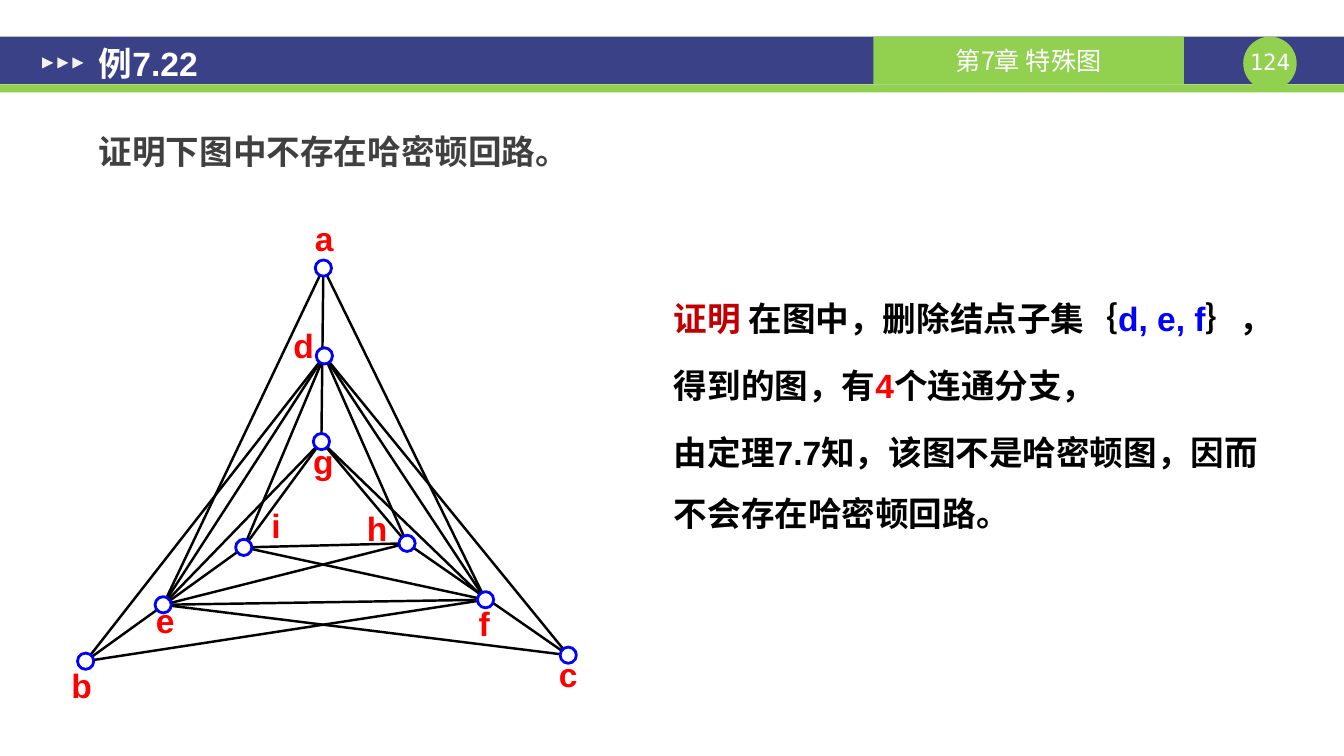
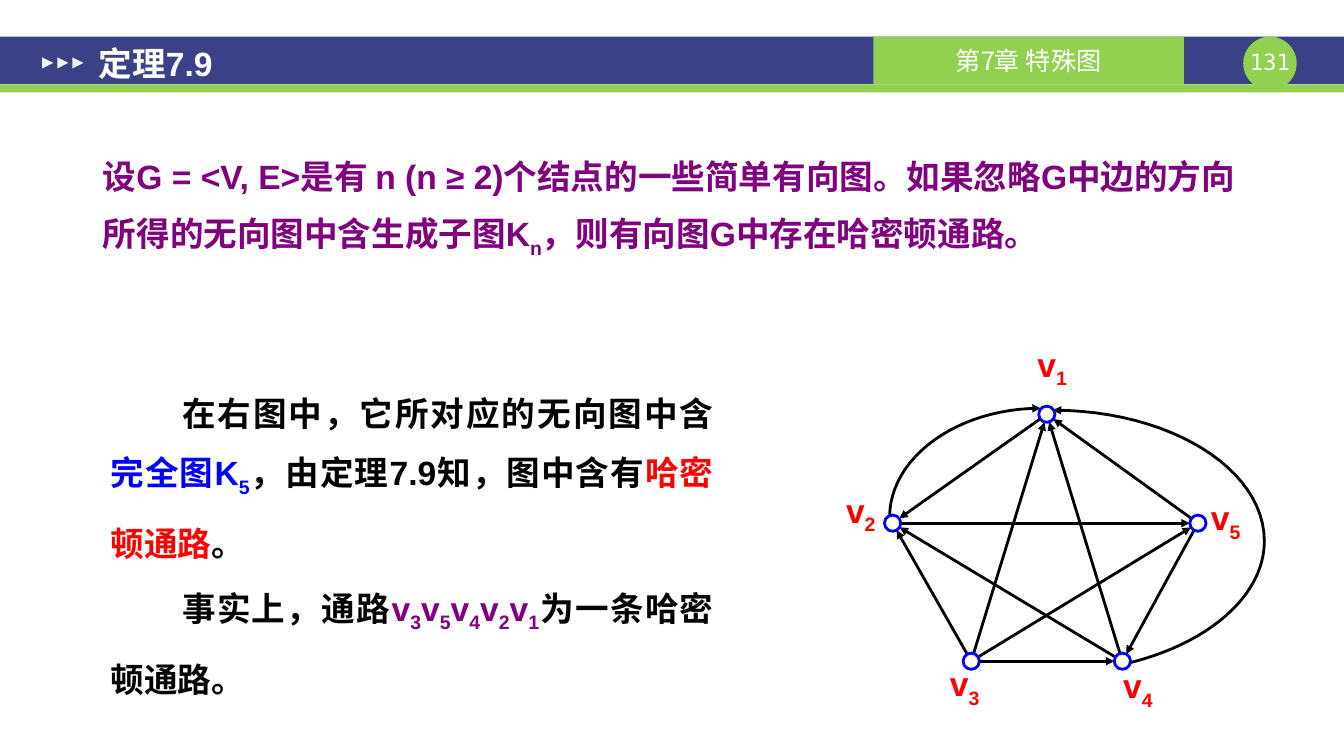
"""Build two lecture slides on Hamiltonian graphs."""
from math import hypot
from typing import NamedTuple

from lxml import etree
from pptx import Presentation
from pptx.dml.color import RGBColor
from pptx.enum.shapes import MSO_CONNECTOR, MSO_SHAPE
from pptx.enum.text import MSO_ANCHOR, MSO_AUTO_SIZE, PP_ALIGN
from pptx.oxml.ns import qn
from pptx.util import Pt

RECT, OVAL, TRIANGLE = MSO_SHAPE.RECTANGLE, MSO_SHAPE.OVAL, MSO_SHAPE.ISOSCELES_TRIANGLE
STRAIGHT = MSO_CONNECTOR.STRAIGHT
LEFT, CENTER, JUSTIFY = PP_ALIGN.LEFT, PP_ALIGN.CENTER, PP_ALIGN.JUSTIFY
TOP, MIDDLE = MSO_ANCHOR.TOP, MSO_ANCHOR.MIDDLE
NO_FIT = MSO_AUTO_SIZE.NONE

NAVY, GREEN, PALE, GREY = "3A4187", "92D050", "F2F2F2", "404040"
WHITE, BLACK, RED, DARK_RED = "FFFFFF", "000000", "FF0000", "C00000"
BLUE, PURPLE = "0000FF", "800080"

CJK = "Noto Sans CJK SC"
MAIN = {"name": "Arial", "size": Pt(24), "bold": True}
CHAPTER = {"name": CJK, "size": Pt(18), "bold": False}
NUMBER = {"name": "DejaVu Sans Mono", "size": Pt(16), "bold": False}

WIDTH, HEIGHT = 960.48, 540
BAND_TOP, BAND_HEIGHT = 26.2, 34
BADGE_LEFT, BADGE_SIZE = 888.5, 38.2
RADIUS = 5.8
CURVE_STEPS = 24


class Box(NamedTuple):
    """A frame in points."""
    left: float
    top: float
    width: float
    height: float


class Run(NamedTuple):
    """A stretch of text in one colour."""
    text: str
    color: str
    sub: bool = False


class Para(NamedTuple):
    """A paragraph with its spacing in points."""
    runs: list[Run]
    align: PP_ALIGN = LEFT
    line: float | None = None
    before: float = 0
    indent: float = 0


class Node(NamedTuple):
    """A graph node: its centre and its label's top centre."""
    x: float
    y: float
    label_x: float
    label_y: float


def rgb(value: str) -> RGBColor:
    """Turn a hex string into a colour."""
    return RGBColor.from_string(value)


def apply(obj, values: dict) -> None:
    """Set each named attribute of an object."""
    for name, value in values.items():
        setattr(obj, name, value)


def place(sp, box: Box) -> None:
    """Move and size a shape."""
    apply(sp, {name: Pt(value) for name, value in box._asdict().items()})


def write(sp, paras: list[Para], font: dict = MAIN, inset: tuple = (0, 0), anchor=TOP) -> None:
    """Fill a text frame with formatted paragraphs."""
    tf = sp.text_frame
    side, edge = (Pt(value) for value in inset)
    apply(tf, {"word_wrap": True, "auto_size": NO_FIT, "vertical_anchor": anchor,
               "margin_left": side, "margin_right": side,
               "margin_top": edge, "margin_bottom": edge})
    for i, para in enumerate(paras):
        p = tf.add_paragraph() if i else tf.paragraphs[0]
        pPr = p._p.get_or_add_pPr()
        pPr.set("marL", "0")
        pPr.set("indent", str(Pt(para.indent)))
        etree.SubElement(pPr, qn("a:buNone"))
        apply(p, {"alignment": para.align, "space_before": Pt(para.before),
                  "line_spacing": Pt(para.line) if para.line else 1.0})
        for run in para.runs:
            r = p.add_run()
            r.text = run.text
            apply(r.font, font)
            r.font.color.rgb = rgb(run.color)
            rPr = r._r.get_or_add_rPr()
            etree.SubElement(rPr, qn("a:ea")).set("typeface", CJK)
            if run.sub:
                rPr.set("baseline", "-25000")


def add_text(slide, box: Box, paras: list[Para], **options):
    """Add a text box."""
    sp = slide.shapes.add_textbox(*map(Pt, box))
    write(sp, paras, **options)
    return sp


def add_shape(slide, kind, box: Box, fill: str, line: str | None = None):
    """Add a flat preset shape."""
    sp = slide.shapes.add_shape(kind, *map(Pt, box))
    sp.shadow.inherit = False
    sp.fill.solid()
    sp.fill.fore_color.rgb = rgb(fill)
    if line:
        stroke(sp, line, 2)
    else:
        sp.line.fill.background()
    return sp


def stroke(sp, color: str, width: float, arrow: bool = False) -> None:
    """Set a line's colour, width and arrowhead."""
    sp.line.color.rgb = rgb(color)
    sp.line.width = Pt(width)
    if arrow:
        ln = sp._element.spPr.find(qn("a:ln"))
        etree.SubElement(ln, qn("a:tailEnd")).set("type", "triangle")


def add_edge(slide, start: Node, end: Node, width: float, arrow: bool) -> None:
    """Join the rims of two nodes."""
    length = hypot(end.x - start.x, end.y - start.y)
    dx = (end.x - start.x) / length * RADIUS
    dy = (end.y - start.y) / length * RADIUS
    ends = start.x + dx, start.y + dy, end.x - dx, end.y - dy
    sp = slide.shapes.add_connector(STRAIGHT, *map(Pt, ends))
    stroke(sp, BLACK, width, arrow)
    etree.SubElement(sp._element.spPr, qn("a:effectLst"))


def bezier(points: list[tuple], t: float) -> tuple:
    """Find a point on a cubic curve."""
    weights = (1 - t) ** 3, 3 * t * (1 - t) ** 2, 3 * t * t * (1 - t), t ** 3
    return tuple(Pt(sum(w * c for w, c in zip(weights, axis))) for axis in zip(*points))


def add_curve(slide, points: list[tuple]) -> None:
    """Draw an arrow along chained cubic curves."""
    trail = [bezier(points[i:i + 4], step / CURVE_STEPS)
             for i in range(0, len(points) - 1, 3) for step in range(1, CURVE_STEPS + 1)]
    builder = slide.shapes.build_freeform(*map(Pt, points[0]), scale=1.0)
    builder.add_line_segments(trail, close=False)
    sp = builder.convert_to_shape()
    sp.shadow.inherit = False
    sp.fill.background()
    stroke(sp, BLACK, 2, arrow=True)


def add_graph(slide, nodes: dict[str, Node], edges: list[tuple], prefix: str = "",
              width: float = 1.75, arrow: bool = False) -> None:
    """Draw edges, then labels and nodes above them."""
    for start, end in edges:
        add_edge(slide, nodes[start], nodes[end], width, arrow)
    for name, node in nodes.items():
        runs = [Run(prefix, RED), Run(name, RED, True)] if prefix else [Run(name, RED)]
        label = Box(node.label_x - 22, node.label_y, 44, 29)
        add_text(slide, label, [Para(runs, CENTER)])
        rim = Box(node.x - RADIUS, node.y - RADIUS, 2 * RADIUS, 2 * RADIUS)
        add_shape(slide, OVAL, rim, WHITE, BLUE)


def furnish(layout, slide) -> None:
    """Draw the shared header and move it to the layout."""
    bands = [
        add_shape(slide, RECT, Box(0, BAND_TOP, WIDTH, BAND_HEIGHT), NAVY),
        add_shape(slide, RECT, Box(0, 60.2, WIDTH, 5.8), GREEN),
        add_shape(slide, OVAL, Box(BADGE_LEFT, BAND_TOP, BADGE_SIZE, BADGE_SIZE), GREEN),
        add_shape(slide, RECT, Box(624.2, BAND_TOP, 221.8, BAND_HEIGHT), GREEN),
    ]
    write(bands[-1], [Para([Run("第7章 特殊图", WHITE)], CENTER)], CHAPTER, (7.2, 1.5), MIDDLE)
    for i in range(3):
        sp = add_shape(slide, TRIANGLE, Box(30.2 + 10.8 * i, 41, 7.9, 7.9), PALE)
        sp.rotation = 90
        bands.append(sp)
    for sp in bands:
        layout.shapes._spTree.append(sp._element)
    place(layout.placeholders[0], Box(61.2, 28.1, 419.8, 33.8))


def start_slide(slide, title: str, number: str, box: Box, body: Para) -> None:
    """Fill the title, page number and body."""
    inset = (9.4, 5)
    write(slide.shapes.title, [Para([Run(title, WHITE)])], inset=inset, anchor=MIDDLE)
    place(slide.placeholders[1], box)
    write(slide.placeholders[1], [body], inset=inset)
    add_text(slide, Box(BADGE_LEFT, 34.6, BADGE_SIZE, 19.4),
             [Para([Run(number, WHITE)], CENTER)], font=NUMBER)


def example_slide(slide) -> None:
    """Build the example with its proof."""
    start_slide(slide, "例7.22", "124", Box(61.2, 80, 733.7, 64),
                Para([Run("证明下图中不存在哈密顿回路。", GREY)], line=37))
    proof = [
        Para([Run("证明 ", DARK_RED), Run("在图中，删除结点子集｛", BLACK),
              Run("d, e, f", BLUE), Run("｝，", BLACK)], line=43.5),
        Para([Run("得到的图，有", BLACK), Run("4", RED), Run("个连通分支，", BLACK)],
             line=43.5, before=4.5),
        Para([Run("由定理7.7知，该图不是哈密顿图，因而不会存在哈密顿回路。", BLACK)],
             line=43.5, before=4.5),
    ]
    add_text(slide, Box(474.5, 194.2, 442, 193.7), proof, inset=(7.2, 3.6))
    nodes = {
        "a": Node(231.1, 191.5, 231.8, 155.5),
        "b": Node(61.2, 472.3, 58.3, 475.2),
        "c": Node(406.1, 468, 406.1, 467.3),
        "d": Node(231.8, 254.2, 217, 231.8),
        "e": Node(116.6, 432, 118.1, 428.4),
        "f": Node(347, 428.4, 346, 430.6),
        "g": Node(229.7, 315.4, 231.1, 314.6),
        "h": Node(290.9, 388.1, 269.6, 362.9),
        "i": Node(174.2, 391, 197.3, 360.7),
    }
    pairs = "hc ag ib ih ig gh bf ec cd bd ae af ef df de eh if di dh gf eg"
    add_graph(slide, nodes, [tuple(pair) for pair in pairs.split()])


def theorem_slide(slide) -> None:
    """Build the theorem with its directed graph."""
    theorem = [
        Run("设G = <V, E>是有 n (n ≥ 2)个结点的一些简单有向图。"
            "如果忽略G中边的方向所得的无向图中含生成子图K", PURPLE),
        Run("n", PURPLE, True), Run("，则有向图G中存在哈密顿通路。", PURPLE)]
    start_slide(slide, "定理7.9", "131", Box(64.1, 90, 846.7, 110.9), Para(theorem, line=45))
    walk = [Run(text, PURPLE, sub) for i in "35421" for text, sub in (("v", False), (i, True))]
    remarks = [
        Para([Run("在右图中，它所对应的无向图中含", BLACK), Run("完全图K", BLUE),
              Run("5", BLUE, True), Run("，由定理7.9知，图中含有", BLACK),
              Run("哈密顿通路", RED), Run("。", BLACK)], JUSTIFY, 46.5, 0, 51.1),
        Para([Run("事实上，通路", BLACK), *walk, Run("为一条哈密顿通路。", BLACK)],
             JUSTIFY, 46.5, 4, 51.1),
    ]
    add_text(slide, Box(72, 259.2, 445, 231), remarks, inset=(7.2, 3.6))
    add_curve(slide, [(802.8, 474.5), (863.3, 460.8), (903.6, 425.5), (903.6, 386.6),
                      (903.6, 334.8), (835.9, 293), (752.4, 293)])
    add_curve(slide, [(635.8, 369.4), (635.8, 326.9), (684, 291.6), (743.8, 291.6)])
    nodes = {
        "1": Node(748.1, 295.9, 752, 245.5),
        "2": Node(637.9, 373.7, 615.2, 349.9),
        "3": Node(694.1, 472.3, 689.4, 473.8),
        "4": Node(802.1, 472.3, 813.2, 475.2),
        "5": Node(856.1, 373.7, 875.9, 355),
    }
    pairs = "25 31 41 35 12 54 34 42 51 32"
    add_graph(slide, nodes, [tuple(pair) for pair in pairs.split()], "v", 2, True)


def main() -> None:
    """Build and save the presentation."""
    prs = Presentation()
    apply(prs, {"slide_width": Pt(WIDTH), "slide_height": Pt(HEIGHT)})
    layout = prs.slide_layouts[1]
    slides = [prs.slides.add_slide(layout) for _ in range(2)]
    furnish(layout, slides[0])
    for build, slide in zip((example_slide, theorem_slide), slides):
        build(slide)
    prs.save("out.pptx")


if __name__ == "__main__":
    main()
